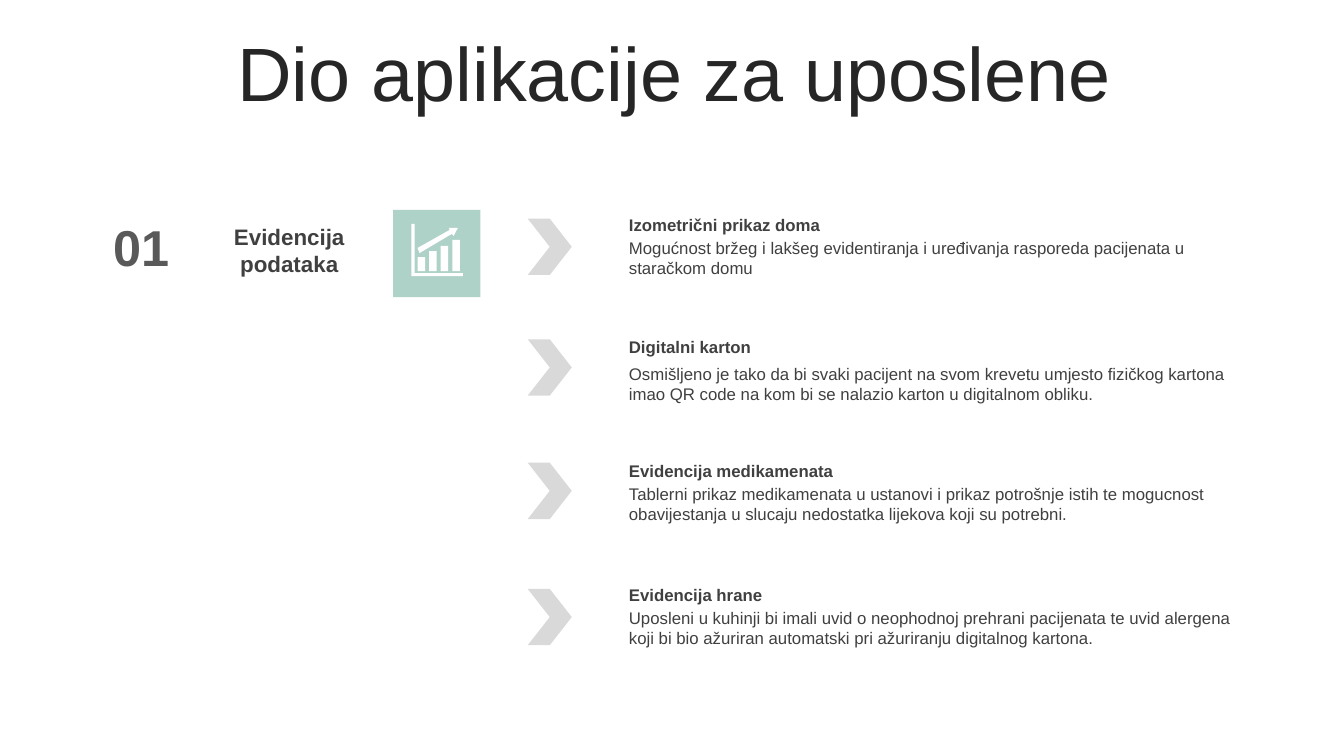
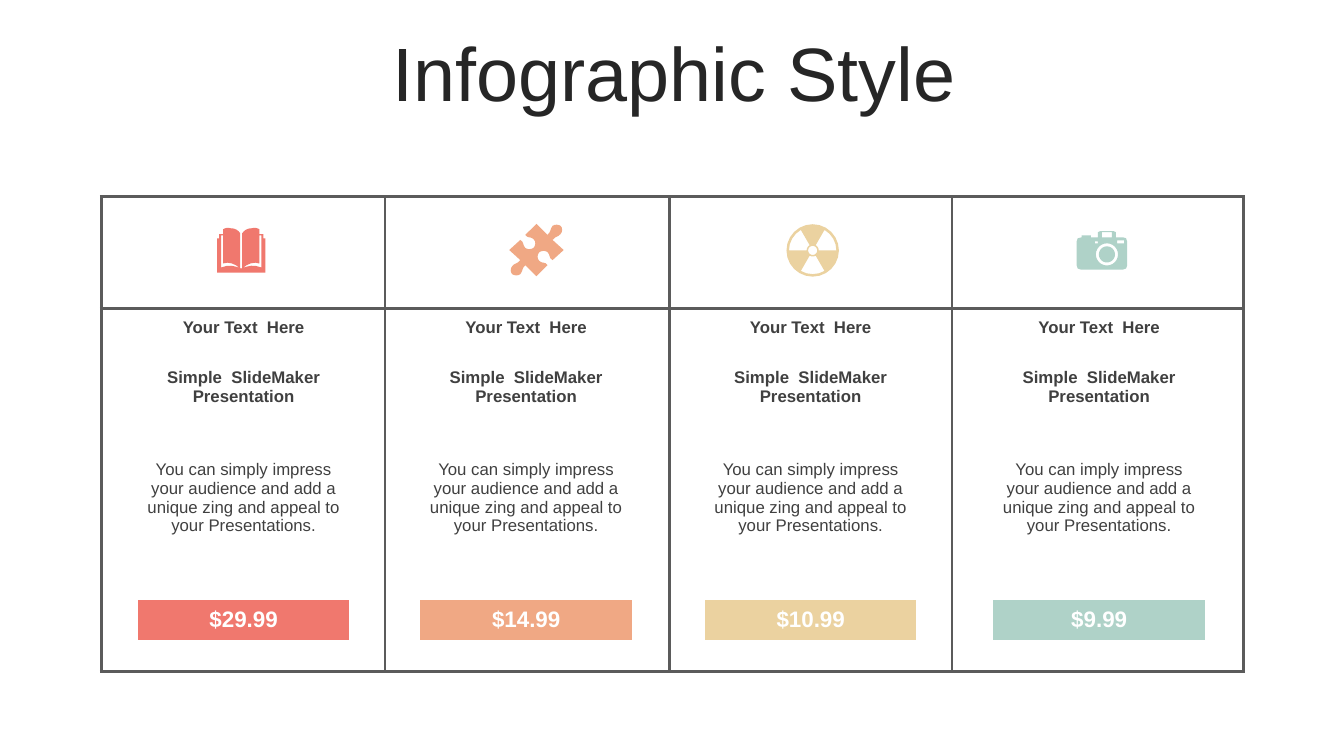
import math
from dataclasses import dataclass

from lxml import etree
from pptx import Presentation
from pptx import util as u
from pptx.dml.color import RGBColor
from pptx.enum import shapes, text
from pptx.oxml import ns

FONT = "Arial"
INK, DARK, GREY, PALE, WHITE = "262626", "404040", "595959", "D9D9D9", "FFFFFF"
RULE, MINT, CORAL, PEACH, SAND = "5B5B5B", "AFD2C8", "F0786E", "F0A884", "EBD2A0"
UNIT = u.Cm(2.54) / 100
LEFT, MID = text.PP_ALIGN.LEFT, text.PP_ALIGN.CENTER

Point = tuple[float, float]
Path = list[Point]


@dataclass
class Item:
    head: str
    note: str
    head_top: float
    note_top: float
    mark_top: float


@dataclass
class Plan:
    price: str
    fill: str
    verb: str
    icon: list[Path]
    left: float
    top: float


def tint(code: str) -> RGBColor:
    return RGBColor.from_string(code)


def write(frame, words: str, *, size: float = 12, color: str = DARK, bold: bool = False,
          align=LEFT, line: float | None = None, before: float | None = None) -> None:
    para = frame.paragraphs[0]
    para.alignment = align
    para.line_spacing = line
    para.space_before = None if before is None else u.Pt(before)
    run = para.add_run()
    run.text = words
    run.font.name, run.font.size, run.font.bold = FONT, u.Pt(size), bold
    run.font.color.rgb = tint(color)


def label(slide, words: str, left: float, top: float, width: float, height: float,
          anchor=text.MSO_ANCHOR.TOP, **style) -> None:
    box = slide.shapes.add_textbox(u.Cm(left), u.Cm(top), u.Cm(width), u.Cm(height))
    box.text_frame.word_wrap = True
    box.text_frame.vertical_anchor = anchor
    write(box.text_frame, words, **style)


def paint(shape, fill: str) -> None:
    shape.shadow.inherit = False
    shape.fill.solid()
    shape.fill.fore_color.rgb = tint(fill)
    shape.line.fill.background()


def block(slide, kind, left: float, top: float, width: float, height: float, fill: str) -> None:
    paint(slide.shapes.add_shape(kind, u.Cm(left), u.Cm(top), u.Cm(width), u.Cm(height)), fill)


def draw(slide, paths: list[Path], left: float, top: float, fill: str) -> None:
    def place(point: Point) -> Point:
        return u.Cm(left) + point[0] * UNIT, u.Cm(top) + point[1] * UNIT

    pen = None
    for path in paths:
        start, *rest = map(place, path)
        if pen is None:
            pen = slide.shapes.build_freeform(*start)
        else:
            pen.move_to(*start)
        pen.add_line_segments(rest, close=True)
    paint(pen.convert_to_shape(), fill)


def trace(steps: list[tuple[float, ...]], count: int = 4) -> Path:
    path: Path = []
    for step in steps:
        if len(step) == 2:
            path.append(step)
            continue
        knots = [path[-1], step[0:2], step[2:4], step[4:6]]
        for i in range(1, count + 1):
            t = i / count
            parts = [(1 - t) ** 3, 3 * t * (1 - t) ** 2, 3 * t * t * (1 - t), t ** 3]
            path.append(tuple(sum(w * k[axis] for w, k in zip(parts, knots)) for axis in (0, 1)))
    return path


def arc(x: float, y: float, radius: float, start: float = 0, end: float = 360) -> Path:
    count = max(4, round(abs(end - start) / 15))
    turns = [math.radians(start + (end - start) * i / count) for i in range(count + 1)]
    return [(x + radius * math.cos(a), y + radius * math.sin(a)) for a in turns]


def rect(left: float, top: float, right: float, low: float) -> Path:
    return [(left, top), (right, top), (right, low), (left, low)]


def graph() -> list[Path]:
    bars = [rect(-20 + 11.5 * i, top, -12.5 + 11.5 * i, 21) for i, top in enumerate((7, 1, -4, -10))]
    arrow = [(11, -22), (20, -22), (16, -14), (14, -16), (-18, 3), (-20, -2), (12, -20)]
    axes = [(-26, -26), (-23, -26), (-23, 23), (25, 23), (25, 26), (-26, 26)]
    return [*bars, arrow, axes]


def book() -> list[Path]:
    page = trace([(1, -17), (3, -20, 6, -22, 11, -22), (13, -23, 16, -22, 18, -21),
                  (18, 13), (13, 11, 6, 13, 1, 18)])
    cover = trace([(0, 18), (8, 15, 12, 14, 20, 17), (20, -15), (18, -15), (18, -16),
                   (22, -16), (22, -12), (24, -12), (24, 22), (0, 22)])
    return [[(side * x, y) for x, y in path] for side in (-1, 1) for path in (page, cover)]


def puzzle() -> list[Path]:
    half = trace([(24, -24), (26, -22, 26, -18, 24, -16), (22, -13, 19, -14, 16, -10),
                  (27, 0), (16, 10), (12, 8, 14, 5, 11, 2), (8, 0, 5, 1, 3, 2),
                  (1, 4, 0, 8, 3, 11), (7, 14, 8, 11, 11, 15), (0, 26), (-11, 15),
                  (-15, 19, -13, 20, -16, 24), (-19, 26, -22, 25, -24, 24)])
    return [half + [(-x, -y) for x, y in half]]


def atom() -> list[Path]:
    gaps = [arc(0, 0, 23.5, a, a + 60) + arc(0, 0, 6, a + 60, a) for a in (60, 180, 300)]
    return [arc(0, 0, 26), arc(0, 0, 4.5), *gaps]


def camera() -> list[Path]:
    body = [(-2, -19), (12, -19), (14, -18), (14, -13), (21, -13), (24, -12), (25, -9),
            (25, 15), (24, 18), (21, 19), (-21, 19), (-24, 18), (-25, 15), (-25, -9),
            (-24, -12), (-20, -13), (-20, -15), (-11, -15), (-11, -13), (-4, -13), (-4, -18)]
    return [body, rect(0, -18, 10, -13), rect(15, -10, 22, -7), rect(-7, -9, -4, -7),
            arc(5, 4, 11), arc(5, 4, 8)]


ITEMS = [
    Item("Izometrični prikaz doma",
         "Mogućnost bržeg i lakšeg evidentiranja i uređivanja rasporeda pacijenata u staračkom domu",
         5.28, 5.87, 5.51),
    Item("Digitalni karton",
         "Osmišljeno je tako da bi svaki pacijent na svom krevetu umjesto fizičkog kartona "
         "imao QR code na kom bi se nalazio karton u digitalnom obliku.",
         8.37, 9.04, 8.55),
    Item("Evidencija medikamenata",
         "Tablerni prikaz medikamenata u ustanovi i prikaz potrošnje istih te mogucnost "
         "obavijestanja u slucaju nedostatka lijekova koji su potrebni.",
         11.48, 12.07, 11.66),
    Item("Evidencija hrane",
         "Uposleni u kuhinji bi imali uvid o neophodnoj prehrani pacijenata te uvid alergena "
         "koji bi bio ažuriran automatski pri ažuriranju digitalnog kartona.",
         14.61, 15.19, 14.84),
]

PLANS = [
    Plan("$29.99", CORAL, "simply", book(), 6.08, 6.31),
    Plan("$14.99", PEACH, "simply", puzzle(), 13.52, 6.3),
    Plan("$10.99", SAND, "simply", atom(), 20.48, 6.31),
    Plan("$9.99", MINT, "imply", camera(), 27.77, 6.31),
]

COLS = [0.89, 5.4, 0.86, 0.86, 5.4, 0.91, 0.86, 5.4, 0.86, 1.01, 5.4, 0.94]
ROWS = [2.82, 0.95, 2.05, 3.55, 0.76, 1.07, 0.76]
PRICE = 5


def start(deck, title: str):
    slide = deck.slides.add_slide(deck.slide_layouts[6])
    label(slide, title, 0.91, 0.94, 32.16, 2.01, text.MSO_ANCHOR.MIDDLE,
          size=54, color=INK, align=MID, line=0.9, before=10)
    return slide


def edges(row: int, col: int) -> dict[str, str | None]:
    part, last = col % 3, len(ROWS) - 1
    sold = row == PRICE
    return {
        "L": RULE if part == 0 else WHITE if sold else None,
        "R": RULE if part == 2 else WHITE if sold else None,
        "T": RULE if row < 2 else WHITE if part == 1 and row in (PRICE, PRICE + 1) else None,
        "B": RULE if row in (0, last) else WHITE if part == 1 and row in (PRICE - 1, PRICE) else None,
    }


def frame(cell, colors: dict[str, str | None]) -> None:
    props = cell._tc.get_or_add_tcPr()
    for side, color in colors.items():
        line = etree.SubElement(props, ns.qn(f"a:ln{side}"), w=str(u.Pt(2.25)))
        if color is None:
            etree.SubElement(line, ns.qn("a:noFill"))
        else:
            fill = etree.SubElement(line, ns.qn("a:solidFill"))
            etree.SubElement(fill, ns.qn("a:srgbClr"), val=color)


def grid(slide) -> None:
    table = slide.shapes.add_table(len(ROWS), len(COLS), u.Cm(2.55), u.Cm(4.95),
                                   u.Cm(sum(COLS)), u.Cm(sum(ROWS))).table
    table.first_row = table.horz_banding = False
    for col, width in zip(table.columns, COLS):
        col.width = u.Cm(width)
    for row, height in zip(table.rows, ROWS):
        row.height = u.Cm(height)
    for r in range(len(ROWS)):
        for c in range(len(COLS)):
            cell = table.cell(r, c)
            cell.margin_top = cell.margin_bottom = 0
            cell.vertical_anchor = text.MSO_ANCHOR.MIDDLE
            frame(cell, edges(r, c))
            if r == PRICE and c % 3 == 1:
                cell.fill.solid()
                cell.fill.fore_color.rgb = tint(PLANS[c // 3].fill)
            else:
                cell.fill.background()
    for i, plan in enumerate(PLANS):
        lines = {
            1: ("Your Text  Here", {"bold": True}),
            2: ("Simple  SlideMaker Presentation", {"bold": True}),
            3: (f"You can {plan.verb} impress your audience and add a unique zing "
                "and appeal to your Presentations.", {}),
            PRICE: (plan.price, {"size": 16, "color": WHITE, "bold": True}),
        }
        for r, (words, style) in lines.items():
            write(table.cell(r, 3 * i + 1).text_frame, words, align=MID, **style)


def staff(deck) -> None:
    slide = start(deck, "Dio aplikacije za uposlene")
    label(slide, "01", 2.44, 5.31, 2.24, 1.8, size=36, color=GREY, bold=True, align=MID)
    label(slide, "Evidencija podataka", 5.31, 5.49, 3.96, 1.63, size=16, bold=True, align=MID)
    for item in ITEMS:
        block(slide, shapes.MSO_SHAPE.CHEVRON, 13.3, item.mark_top, 1.11, 1.42, PALE)
        label(slide, item.note, 15.6, item.note_top, 15.88, 1.27)
        label(slide, item.head, 15.6, item.head_top, 15.88, 0.76, bold=True)
    block(slide, shapes.MSO_SHAPE.RECTANGLE, 9.91, 5.29, 2.2, 2.2, MINT)
    draw(slide, graph(), 11.03, 6.3, WHITE)


def prices(deck) -> None:
    slide = start(deck, "Infographic Style")
    grid(slide)
    for plan in PLANS:
        draw(slide, plan.icon, plan.left, plan.top, plan.fill)


def main() -> None:
    deck = Presentation()
    deck.slide_width, deck.slide_height = u.Cm(33.87), u.Cm(19.05)
    staff(deck)
    prices(deck)
    deck.save("out.pptx")


if __name__ == "__main__":
    main()
